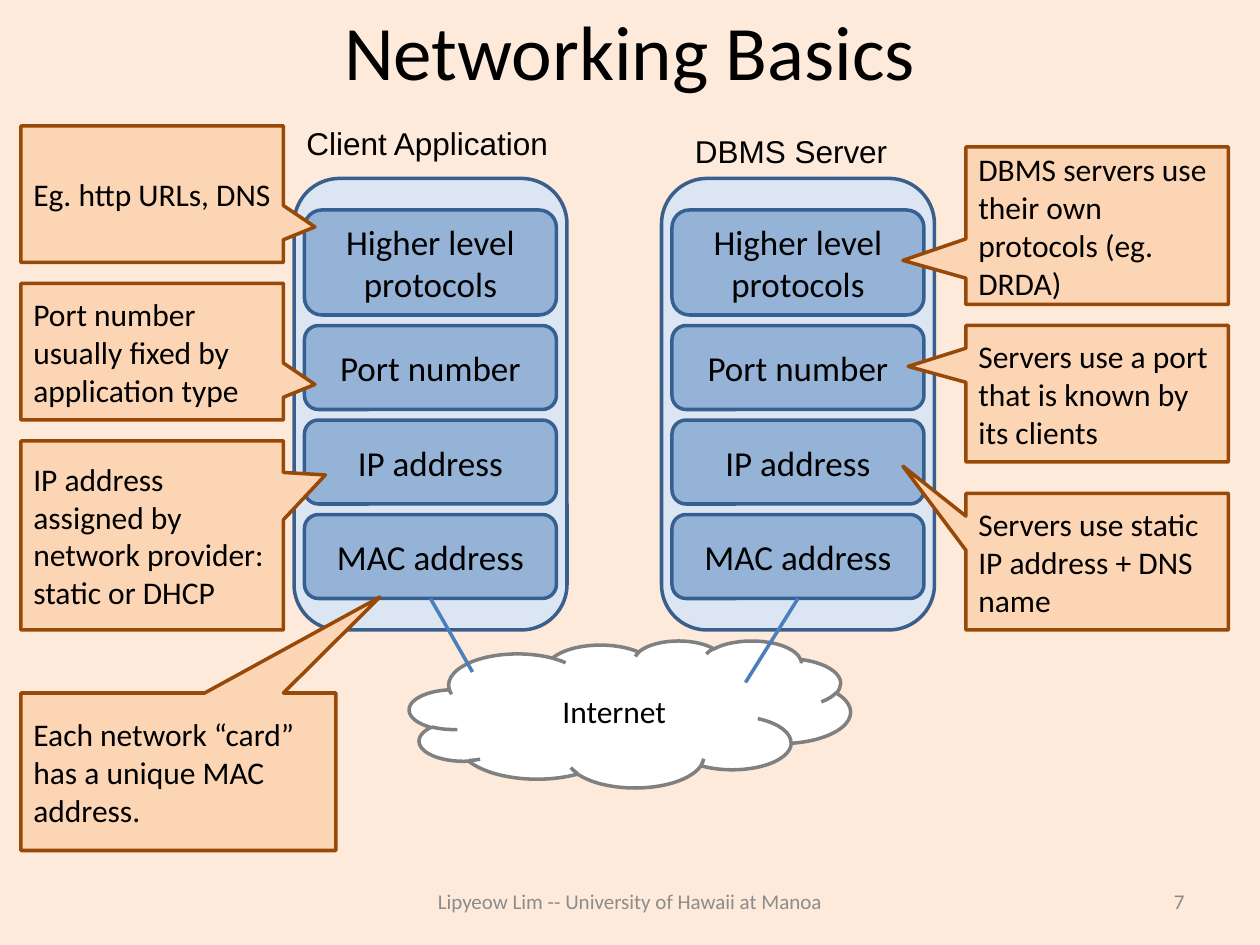
from pptx import Presentation
from pptx.dml.color import RGBColor
from pptx.enum.shapes import MSO_CONNECTOR, MSO_SHAPE as Shape
from pptx.enum.text import MSO_ANCHOR as Anchor, MSO_AUTO_SIZE as Fit, PP_ALIGN as Align
from pptx.oxml.ns import qn
from pptx.util import Inches, Pt
from lxml.etree import SubElement

COLORS = {
    "background": "FDEADA", "text": "000000", "footer": "8C8C8C", "number": "898989",
    "panel": "DCE6F2", "panel line": "3A5F8C", "layer": "95B3D7", "layer line": "376092",
    "cloud": "FFFFFF", "cloud line": "808080", "link": "4B7EBC",
    "note": "FCD5B5", "note line": "984807",
}
TITLE_ONLY = 5

deck = Presentation()
deck.slide_width, deck.slide_height = Inches(10), Inches(7.5)
UNIT = deck.slide_width / 120  # grid of 120 columns by 90 rows
slide = deck.slides.add_slide(deck.slide_layouts[TITLE_ONLY])
slide.background.fill.solid()
slide.background.fill.fore_color.rgb = RGBColor.from_string(COLORS["background"])


def write(holder, text, size=18, color="text", font="Calibri", align=Align.LEFT, **frame_format):
    frame = holder.text_frame
    frame.text = text
    frame_values = {"word_wrap": True, "vertical_anchor": Anchor.MIDDLE, **frame_format}
    for name, value in frame_values.items():
        setattr(frame, name, value)
    paragraph = frame.paragraphs[0]
    paragraph.alignment = align
    for name, value in {"name": font, "size": Pt(size)}.items():
        setattr(paragraph.font, name, value)
    paragraph.font.color.rgb = RGBColor.from_string(COLORS[color])


def draw(shapes, preset, box, color):
    shape = shapes.add_shape(preset, *[round(n * UNIT) for n in box])
    shape.shadow.inherit = False
    shape.fill.solid()
    shape.fill.fore_color.rgb = RGBColor.from_string(COLORS[color])
    shape.line.color.rgb = RGBColor.from_string(COLORS[color + " line"])
    shape.line.width = Pt(2)
    return shape


# Title
title = slide.shapes.title
for side, n in {"left": 6, "top": 2, "width": 108, "height": 5.4}.items():
    setattr(title, side, round(n * UNIT))
write(title, "Networking Basics", 44, align=Align.CENTER, auto_size=Fit.NONE)

# Host panels
HOSTS = [28, 63]
for column in HOSTS:
    draw(slide.shapes, Shape.ROUNDED_RECTANGLE, (column, 17, 26, 43), "panel")

# Internet cloud
cloud = draw(slide.shapes, Shape.CLOUD, (39, 61, 42, 14), "cloud")
write(cloud, "Internet", align=Align.CENTER)

# Protocol layers, stacked with a one-row gap
LAYERS = [("Higher level protocols", 10), ("Port number", 8), ("IP address", 8), ("MAC address", 8)]
for column in HOSTS:
    stack = slide.shapes.add_group_shape()
    row = 20
    for label, rows in LAYERS:
        layer = draw(stack.shapes, Shape.ROUNDED_RECTANGLE, (column + 1, row, 24, rows), "layer")
        write(layer, label, 20, align=Align.CENTER)
        row += rows + 1

# Links from the hosts to the cloud
for ends in [(41, 57, 45, 64), (76, 57, 71, 65)]:
    link = slide.shapes.add_connector(MSO_CONNECTOR.STRAIGHT, *[round(n * UNIT) for n in ends])
    link.line.color.rgb = RGBColor.from_string(COLORS["link"])
    link.line.width = Pt(2)
    SubElement(link.element.spPr, qn("a:effectLst"))

# Callouts: box, pointer offset, text
NOTES = [
    ((2, 66, 30, 15), (0.64, -1.11), "Each network “card” has a unique MAC address."),
    ((2, 42, 25, 18), (0.66, -0.32), "IP address assigned by network provider: static or DHCP"),
    ((2, 27, 25, 13), (0.62, 0.24), "Port number usually fixed by application type"),
    ((2, 12, 25, 13), (0.62, 0.24), "Eg. http URLs, DNS"),
    ((92, 14, 25, 15), (-0.74, 0.22), "DBMS servers use their own protocols (eg. DRDA)"),
    ((92, 47, 25, 13), (-0.74, -0.7), "Servers use static IP address + DNS name"),
    ((92, 31, 25, 13), (-0.72, -0.2), "Servers use a port that is known by its clients"),
]
for box, pointer, text in NOTES:
    note = draw(slide.shapes, Shape.RECTANGULAR_CALLOUT, box, "note")
    for i, offset in enumerate(pointer):
        note.adjustments[i] = offset
    write(note, text)

# Host names, footer and slide number
HEADING = {"font": "Arial", "vertical_anchor": Anchor.TOP, "auto_size": Fit.SHAPE_TO_FIT_TEXT}
SMALL = {"size": 12}
LABELS = [
    ((28, 11.2, 30, 4.8), "Client Application", HEADING),
    ((65, 12, 20.9, 4.8), "DBMS Server", {**HEADING, "word_wrap": False}),
    ((36, 83.4, 48, 4.8), "Lipyeow Lim -- University of Hawaii at Manoa",
     {**SMALL, "color": "footer", "align": Align.CENTER}),
    ((86, 83.4, 28, 4.8), "7", {**SMALL, "color": "number", "align": Align.RIGHT}),
]
for box, text, style in LABELS:
    write(slide.shapes.add_textbox(*[round(n * UNIT) for n in box]), text, **style)

deck.save("out.pptx")
